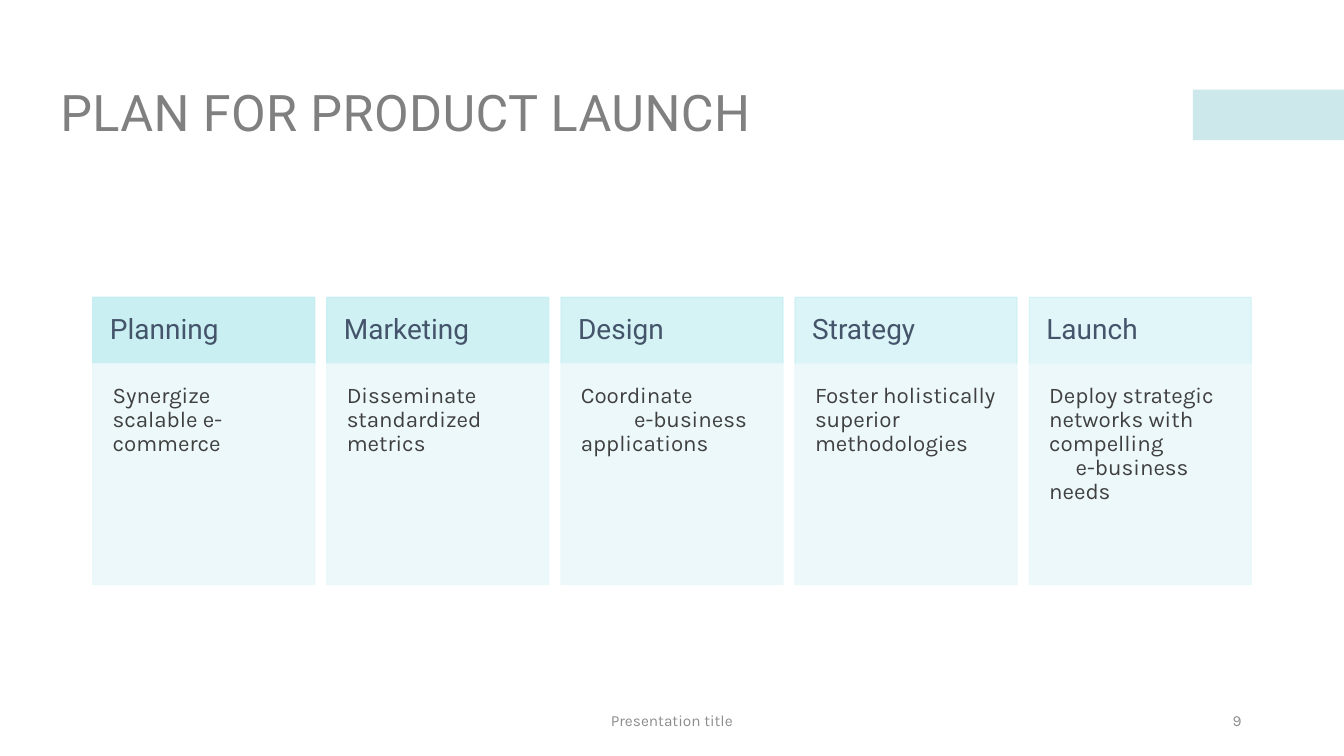
import pptx
import pptx.dml.color
import pptx.enum.shapes
import pptx.enum.text
import pptx.util
from pptx.oxml.xmlchemy import OxmlElement

Cm = pptx.util.Cm
Pt = pptx.util.Pt
RECTANGLE = pptx.enum.shapes.MSO_SHAPE.RECTANGLE
ALIGN = pptx.enum.text.PP_ALIGN
ANCHOR = pptx.enum.text.MSO_ANCHOR


def set_colour(color, hex_colour, opacity=100):
    color.rgb = pptx.dml.color.RGBColor.from_string(hex_colour)
    if opacity < 100:
        alpha = OxmlElement("a:alpha")
        alpha.set("val", str(opacity * 1000))
        color._color._xClr.append(alpha)


def write(shape, lines, font_name, size, hex_colour, align=ALIGN.LEFT,
          anchor=ANCHOR.MIDDLE, inset=None, line_spacing=None):
    """Fill the shape with one paragraph per (text, left indent in cm) pair."""
    frame = shape.text_frame
    frame.word_wrap = True
    frame.vertical_anchor = anchor
    if inset is not None:
        frame.margin_left = frame.margin_right = Cm(inset)
        frame.margin_top = frame.margin_bottom = Cm(inset)
    for index, (text, indent) in enumerate(lines):
        paragraph = frame.paragraphs[0] if index == 0 else frame.add_paragraph()
        paragraph.add_run().text = text
        paragraph.alignment = align
        paragraph.line_spacing = line_spacing
        paragraph.font.name = font_name
        paragraph.font.size = Pt(size)
        set_colour(paragraph.font.color, hex_colour)
        if indent:
            properties = paragraph._p.get_or_add_pPr()
            properties.set("marL", str(Cm(indent)))
            properties.set("indent", "0")


presentation = pptx.Presentation()
presentation.slide_width = Cm(33.87)
presentation.slide_height = Cm(19.05)
slide = presentation.slides.add_slide(presentation.slide_layouts[6])
shapes = slide.shapes

# Accent bar and title
accent = shapes.add_shape(RECTANGLE, Cm(30.06), Cm(2.26), Cm(3.81), Cm(1.27))
accent.shadow.inherit = False
accent.fill.solid()
set_colour(accent.fill.fore_color, "9CD3D9", 50)
accent.line.fill.background()

title = shapes.add_textbox(Cm(1.27), Cm(1.06), Cm(31.33), Cm(3.68))
write(title, [("PLAN FOR PRODUCT LAUNCH", 0)], "Roboto", 36, "808080", line_spacing=0.9)
title.text_frame.paragraphs[0].runs[0]._r.get_or_add_rPr().set("spc", "30")

# Footer
for text, left, width, align in [
    ("Presentation title", 11.22, 11.43, ALIGN.CENTER),
    ("9", 23.92, 7.62, ALIGN.RIGHT),
]:
    footer = shapes.add_textbox(Cm(left), Cm(17.65), Cm(width), Cm(1.01))
    write(footer, [(text, 0)], "Karla", 11, "8C8C8C", align)

# Launch stages: a header that fades from stage to stage, above a body
stages = [
    ("Planning", [("Synergize scalable e-commerce", 0)]),
    ("Marketing", [("Disseminate standardized metrics", 0)]),
    ("Design", [("Coordinate", 0), ("e-business", 1.34), ("applications", 0)]),
    ("Strategy", [("Foster holistically superior methodologies", 0)]),
    ("Launch", [("Deploy strategic networks with compelling", 0),
                ("e-business", 0.67), ("needs", 0)]),
]
HEADER_TOP, HEADER_HEIGHT, BODY_HEIGHT = 7.49, 1.68, 5.56
for index, (name, description) in enumerate(stages):
    left = 2.34 + index * 5.9
    header = shapes.add_shape(RECTANGLE, Cm(left), Cm(HEADER_TOP), Cm(5.59), Cm(HEADER_HEIGHT))
    body = shapes.add_shape(RECTANGLE, Cm(left), Cm(HEADER_TOP + HEADER_HEIGHT),
                            Cm(5.59), Cm(BODY_HEIGHT))
    for box, hex_colour, opacity in [(header, "C4EEF2", 90 - index * 10), (body, "EAF8FA", 90)]:
        box.shadow.inherit = False
        box.fill.solid()
        set_colour(box.fill.fore_color, hex_colour, opacity)
        box.line.width = Pt(1)
        set_colour(box.line.color, hex_colour, opacity)
    write(header, [(name, 0)], "Roboto", 20, "44546A", inset=0.43, line_spacing=0.9)
    write(body, description, "Karla", 16, "404040", anchor=ANCHOR.TOP, inset=0.5,
          line_spacing=0.9)

presentation.save("out.pptx")
